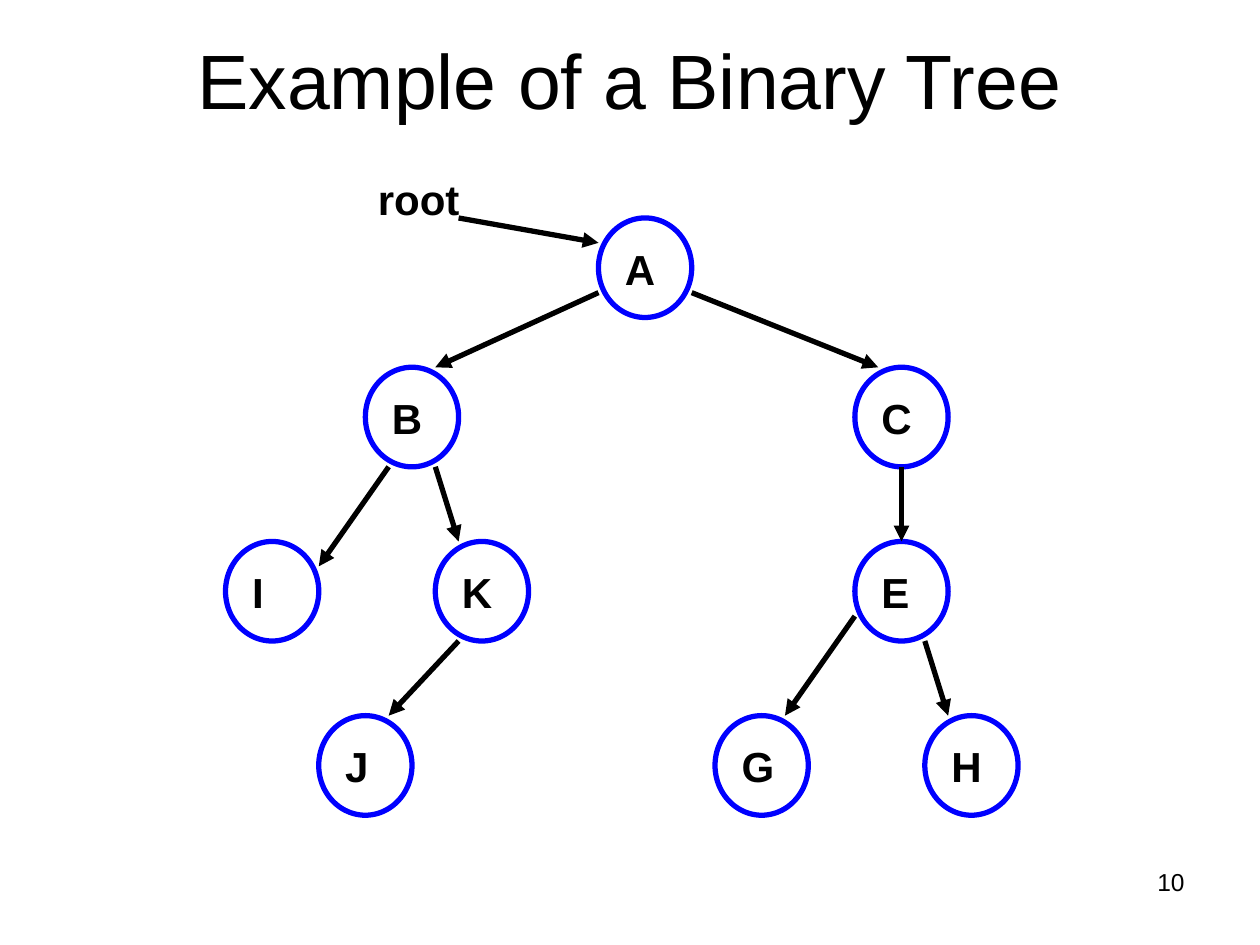
from lxml.etree import SubElement
from pptx import Presentation
from pptx.dml.color import RGBColor
from pptx.enum.shapes import MSO_CONNECTOR, MSO_SHAPE
from pptx.enum.text import MSO_ANCHOR, PP_ALIGN
from pptx.oxml.ns import qn
from pptx.util import Inches, Pt

BLACK = RGBColor(0x00, 0x00, 0x00)
WHITE = RGBColor(0xFF, 0xFF, 0xFF)
BLUE = RGBColor(0x00, 0x00, 0xFF)
FONT = "Arial"

# Tree grid: a node spans four columns and four rows
NODE_WIDTH, NODE_HEIGHT = 0.74, 0.79
SPAN = 4
LEFT, TOP = 1.79, 1.73

# Column and row of each node's top left corner
NODES = {
    "A": (16, 0),
    "B": (6, 6), "C": (27, 6),
    "I": (0, 13), "K": (9, 13), "E": (27, 13),
    "J": (4, 20), "G": (21, 20), "H": (30, 20),
}

# Start and end of each arrow, as grid points
ARROWS = [
    ((10, 0), (16, 1)),   # root to A
    ((16, 3), (9, 6)),    # A to B
    ((20, 3), (28, 6)),   # A to C
    ((7, 10), (4, 14)),   # B to I
    ((9, 10), (10, 13)),  # B to K
    ((29, 10), (29, 13)), # C to E
    ((10, 17), (7, 20)),  # K to J
    ((27, 16), (24, 20)), # E to G
    ((30, 17), (31, 20)), # E to H
]


def grid_point(column, row):
    return LEFT + column * NODE_WIDTH / SPAN, TOP + row * NODE_HEIGHT / SPAN


def write_text(frame, text, size, bold=False, align=PP_ALIGN.LEFT):
    frame.word_wrap = True
    paragraph = frame.paragraphs[0]
    paragraph.alignment = align
    run = paragraph.add_run()
    run.text = text
    run.font.name = FONT
    run.font.size = Pt(size)
    run.font.bold = bold
    run.font.color.rgb = BLACK


def add_title(slide, text):
    title = slide.shapes.title
    title.left, title.top = Inches(0.5), Inches(0)
    title.width, title.height = Inches(9), Inches(1.25)
    title.text_frame.vertical_anchor = MSO_ANCHOR.MIDDLE
    write_text(title.text_frame, text, 44, align=PP_ALIGN.CENTER)


def add_text(slide, box, text, size, **style):
    shape = slide.shapes.add_textbox(*map(Inches, box))
    write_text(shape.text_frame, text, size, **style)
    return shape


def add_node(slide, name, column, row):
    x, y = grid_point(column, row)
    circle = slide.shapes.add_shape(
        MSO_SHAPE.OVAL, *map(Inches, (x, y, NODE_WIDTH, NODE_HEIGHT)))
    circle.shadow.inherit = False
    circle.fill.solid()
    circle.fill.fore_color.rgb = WHITE
    circle.line.color.rgb = BLUE
    circle.line.width = Pt(3)
    label = add_text(slide, (x - 0.07, y + 0.15, 0.92, 0.79), name, 24, bold=True)
    label.text_frame.margin_left = Inches(0.28)


def add_arrow(slide, start, end):
    points = grid_point(*start) + grid_point(*end)
    arrow = slide.shapes.add_connector(MSO_CONNECTOR.STRAIGHT, *map(Inches, points))
    arrow.line.color.rgb = BLACK
    arrow.line.width = Pt(3)
    SubElement(arrow.line._get_or_add_ln(), qn("a:tailEnd"), type="triangle")
    SubElement(arrow._element.spPr, qn("a:effectLst"))


def main():
    presentation = Presentation()
    presentation.slide_width, presentation.slide_height = Inches(10), Inches(7.5)
    slide = presentation.slides.add_slide(presentation.slide_layouts[5])

    # Title and page number
    add_title(slide, "Example of a Binary Tree")
    add_text(slide, (7.17, 6.83, 2.33, 0.52), "10", 14, align=PP_ALIGN.RIGHT)

    # Tree
    for name, (column, row) in NODES.items():
        add_node(slide, name, column, row)
    add_text(slide, (2.9, 1.33, 1.11, 0.59), "root", 24, bold=True)
    for start, end in ARROWS:
        add_arrow(slide, start, end)

    presentation.save("out.pptx")


if __name__ == "__main__":
    main()
